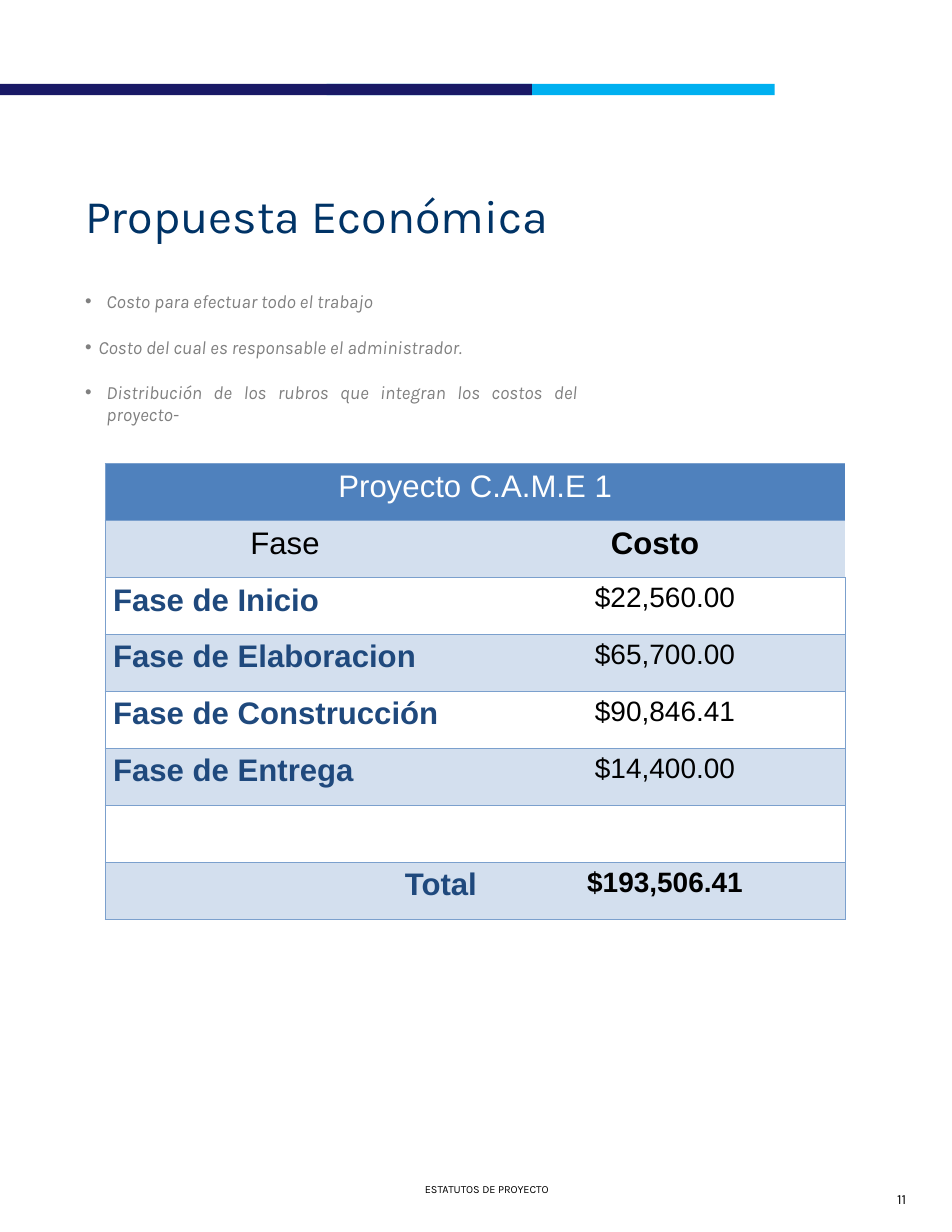
import pptx
import pptx.dml.color
import pptx.enum.shapes
import pptx.enum.text
import pptx.oxml
import pptx.oxml.ns
import pptx.util

Pt = pptx.util.Pt
Align = pptx.enum.text.PP_ALIGN
Anchor = pptx.enum.text.MSO_ANCHOR
LINE, BAND, HEAD, NAVY = "7BA0CD", "D3DFEE", "4F81BD", "1F497D"


def color(code):
    return pptx.dml.color.RGBColor.from_string(code)


def place(shape, box):
    shape.left, shape.top, shape.width, shape.height = map(Pt, box)


def write(para, text, size, code, font="Karla", bold=False, italic=False):
    run = para.add_run()
    run.text = text
    run.font.name, run.font.size = font, Pt(size)
    run.font.bold, run.font.italic = bold, italic
    run.font.color.rgb = color(code)


def add_bars(slide, box):
    left, top, width, height = box
    # The dark bar overlaps the light one
    for start, span, code in ((210, width - 210, "00B0F0"), (0, 342, "191966")):
        bar = slide.shapes.add_shape(
            pptx.enum.shapes.MSO_SHAPE.RECTANGLE,
            Pt(left + start), Pt(top), Pt(span), Pt(height))
        bar.shadow.inherit = False
        bar.fill.solid()
        bar.fill.fore_color.rgb = color(code)
        bar.line.fill.background()


def add_note(slide, box, text, size, align):
    note = slide.shapes.add_textbox(*map(Pt, box))
    note.text_frame.word_wrap = True
    para = note.text_frame.paragraphs[0]
    para.alignment = align
    write(para, text, size, "000000")


def add_title(slide, box, text):
    title = slide.shapes.title
    place(title, box)
    frame = title.text_frame
    frame.auto_size = pptx.enum.text.MSO_AUTO_SIZE.NONE
    frame.vertical_anchor = Anchor.BOTTOM
    para = frame.paragraphs[0]
    para.alignment, para.line_spacing = Align.LEFT, 0.9
    write(para, text, 30, "003366")


def add_list(slide, box, items):
    body = slide.placeholders[1]
    place(body, box)
    frame = body.text_frame
    frame.auto_size = pptx.enum.text.MSO_AUTO_SIZE.NONE
    frame.vertical_anchor = Anchor.TOP
    frame.margin_top = Pt(25.2)
    for index, (text, indent) in enumerate(items):
        para = frame.add_paragraph() if index else frame.paragraphs[0]
        para.alignment = Align.JUSTIFY
        para.space_before = Pt(14.8 if index else 0)
        props = para._p.get_or_add_pPr()
        props.set("marL", str(Pt(indent)))
        props.set("indent", str(-Pt(indent)))
        mark = pptx.oxml.parse_xml(
            f'<a:buChar {pptx.oxml.ns.nsdecls("a")} char="•"/>')
        props.append(mark)
        write(para, text, 12, "808080", italic=True)


def set_edges(cell, sides):
    props = cell._tc.get_or_add_tcPr()
    for index, side in enumerate("LRTB"):
        fill = (f'<a:solidFill><a:srgbClr val="{LINE}"/></a:solidFill>'
                if side in sides else "<a:noFill/>")
        props.insert(index, pptx.oxml.parse_xml(
            f'<a:ln{side} {pptx.oxml.ns.nsdecls("a")} w="12700">{fill}</a:ln{side}>'))


def fill_cell(cell, text, size, code, align, bold):
    para = cell.text_frame.paragraphs[0]
    para.alignment, para.line_spacing = align, 1.15
    write(para, text, size, code, "Arial", bold)


def add_costs(slide, box, name, phases, total):
    rows = len(phases) + 4
    frame = slide.shapes.add_table(rows, 3, *map(Pt, box))
    table = frame.table
    table.first_row = table.horz_banding = False
    for column, width in zip(table.columns, (231.1, 9.4, 231.8)):
        column.width = Pt(width)

    # Fills, borders and merges
    for r in range(rows):
        table.rows[r].height = Pt(box[3] / rows)
        for c in range(3):
            cell = table.cell(r, c)
            cell.margin_left = cell.margin_right = Pt(5)
            cell.margin_top = cell.margin_bottom = 0
            if r % 2 or r == 0:
                cell.fill.solid()
                cell.fill.fore_color.rgb = color(BAND if r else HEAD)
            else:
                cell.fill.background()
            set_edges(cell, "TB" + {0: "L", 2: "R"}.get(c, ""))
        first, last = {0: (0, 2), 1: (1, 2)}.get(r, (0, 1))
        table.cell(r, first).merge(table.cell(r, last))

    # Headings
    mid = Align.CENTER
    fill_cell(table.cell(0, 0), name, 20, "FFFFFF", mid, False)
    fill_cell(table.cell(1, 0), "Fase", 20, "000000", mid, False)
    fill_cell(table.cell(1, 1), "Costo", 20, "000000", mid, True)

    # Phases and total
    for r, (phase, cost) in enumerate(phases, 2):
        fill_cell(table.cell(r, 0), phase, 20, NAVY, Align.LEFT, True)
        fill_cell(table.cell(r, 2), cost, 18, "000000", mid, False)
    fill_cell(table.cell(rows - 1, 0), "Total", 20, NAVY, Align.RIGHT, True)
    fill_cell(table.cell(rows - 1, 2), total, 18, "000000", mid, True)


def main():
    deck = pptx.Presentation()
    deck.slide_width, deck.slide_height = Pt(612), Pt(792)
    slide = deck.slides.add_slide(deck.slide_layouts[1])

    add_bars(slide, (0, 54, 498, 7.2))
    add_note(slide, (207.4, 756.7, 211, 15.8), "ESTATUTOS DE PROYECTO", 7, Align.CENTER)
    add_note(slide, (553.7, 761.8, 36, 18), "11", 9, Align.RIGHT)
    add_title(slide, (47.5, 94.3, 535, 66.2), "Propuesta Económica")
    add_list(slide, (47.5, 161.3, 331.2, 145.4), [
        ("Costo para efectuar todo el trabajo", 13.7),
        ("Costo del cual es responsable el administrador.", 8.5),
        ("Distribución de los rubros que integran los costos del proyecto-", 13.7),
    ])
    add_costs(slide, (67.7, 298.1, 472.3, 293), "Proyecto C.A.M.E 1", [
        ("Fase de Inicio", "$22,560.00"),
        ("Fase de Elaboracion", "$65,700.00"),
        ("Fase de Construcción", "$90,846.41"),
        ("Fase de Entrega", "$14,400.00"),
    ], "$193,506.41")
    deck.save("out.pptx")


if __name__ == "__main__":
    main()
